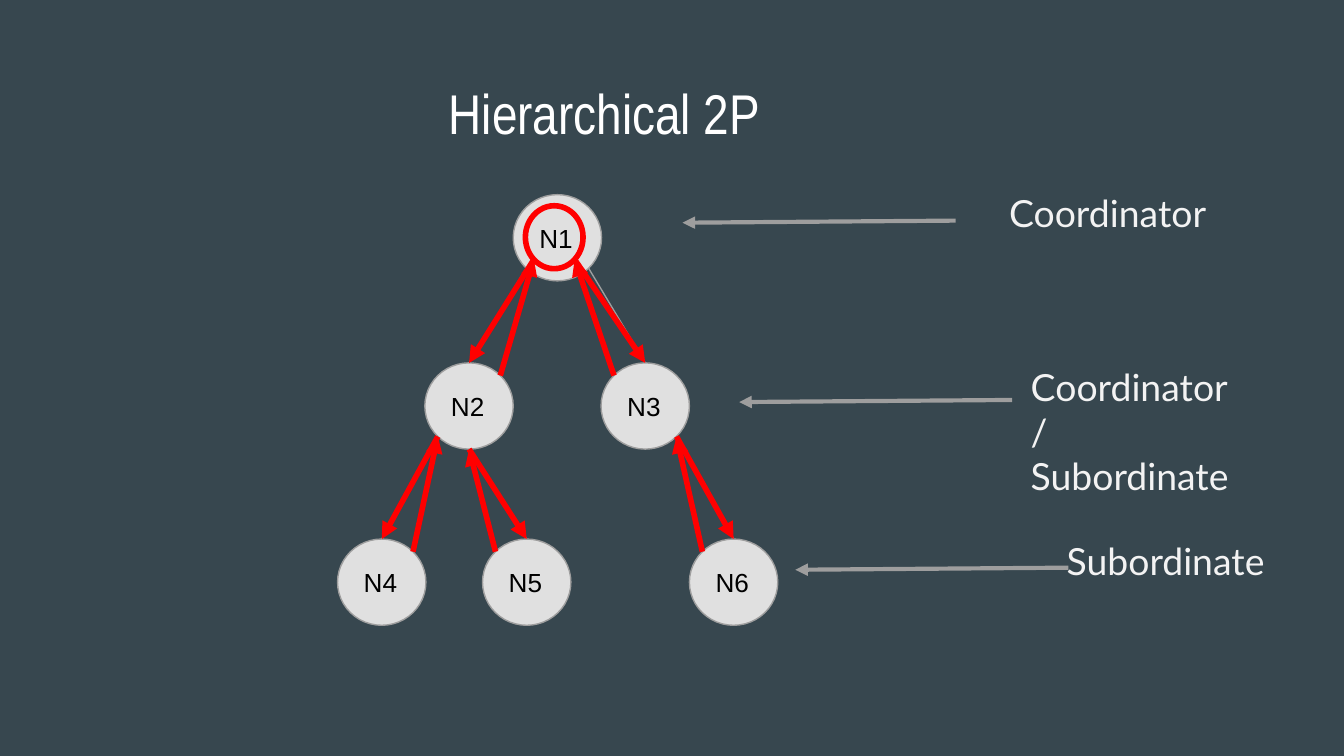
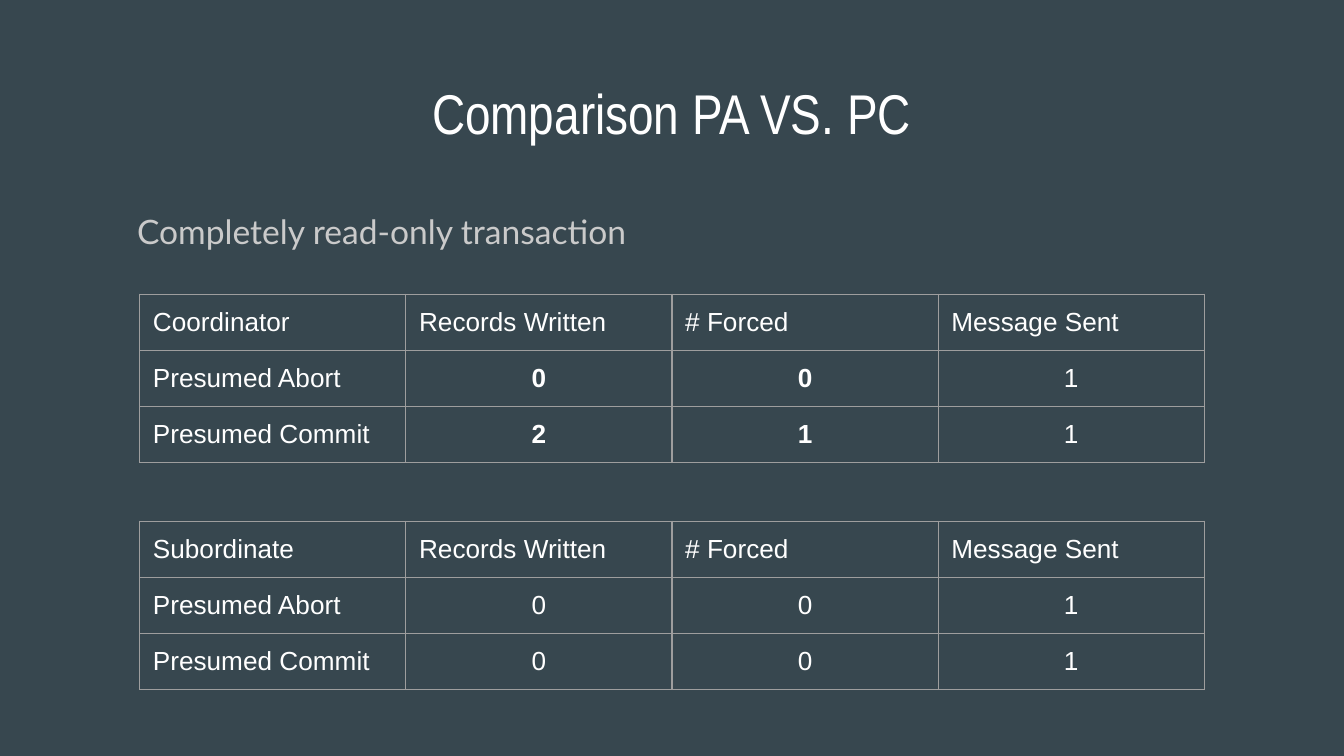
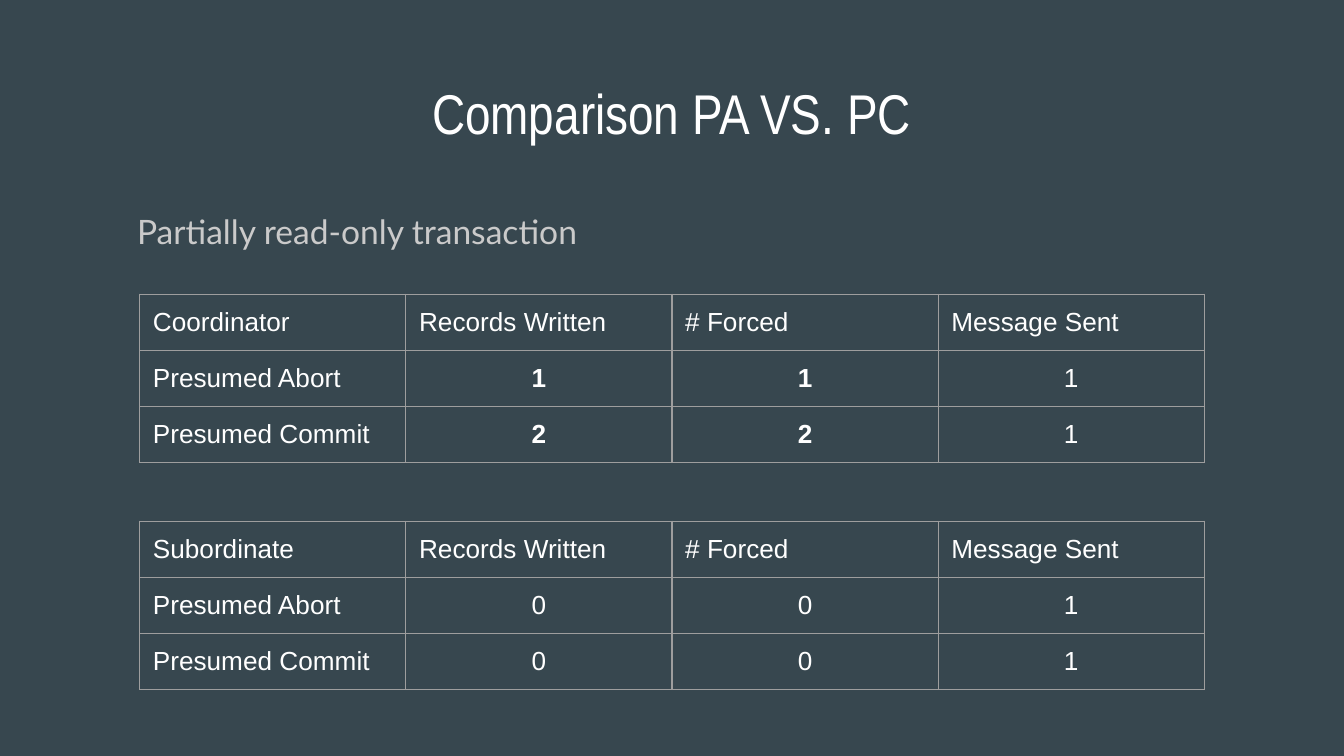
import math

import pptx
import pptx.dml.color
import pptx.enum.shapes
import pptx.enum.text
import pptx.oxml
import pptx.oxml.ns
import pptx.util
from pptx.util import Cm

# Content
TREE_TITLE = "Hierarchical 2P"
TREE_TITLE_LEFT = -0.41
NODES = {  # name: left, top
    "N1": (9.7, 3.68),
    "N2": (8.03, 6.86), "N3": (11.36, 6.86),
    "N4": (6.38, 10.19), "N5": (9.12, 10.19), "N6": (13.03, 10.19),
}
EDGES = [  # parent, site on parent, child, site the reply leaves from
    ("N1", "bottom left", "N2", "top right"),
    ("N2", "bottom left", "N4", "top right"),
    ("N2", "bottom", "N5", "top left"),
    ("N1", "bottom right", "N3", "top left"),
    ("N3", "bottom right", "N6", "top left"),
]
ROLES = [  # lines, label box, arrow start
    (["Coordinator"], (18.82, 3.35, 4.85, 1.35), (18.06, 4.17)),
    (["Coordinator/", "Subordinate"], (19.23, 6.63, 4.39, 1.8), (19.13, 7.56)),
    (["Subordinate"], (19.91, 9.93, 4.39, 1.8), (20.19, 10.73)),
]

COMPARISON_TITLE = "Comparison PA VS. PC"
COLUMNS = ["Records Written", "# Forced", "Message Sent"]
PROTOCOLS = ["Presumed Abort", "Presumed Commit"]
COMPARISONS = [  # subtitle, then role, values by protocol, bold columns
    ("Completely read-only transaction", [
        ("Coordinator", [(0, 0, 1), (2, 1, 1)], (1, 2)),
        ("Subordinate", [(0, 0, 1), (0, 0, 1)], ()),
    ]),
    ("Partially read-only transaction", [
        ("Coordinator", [(1, 1, 1), (2, 2, 1)], (1, 2)),
        ("Subordinate", [(0, 0, 1), (0, 0, 1)], ()),
    ]),
]

# Shared look
BACKGROUND, WHITE, BLACK = "37474F", "FFFFFF", "000000"
GREY, NODE_FILL, RED = "9E9E9E", "E0E0E0", "FF0000"
LABEL_COLOUR, SUBTITLE_COLOUR = "F3F3F3", "CACACA"
INSET = Cm(0.25)
NODE_SIZE = (1.67, 1.63)
RING = (9.93, 3.89, 1.09, 1.19)
ROLE_ARROW = (-5.16, 0.04)
TABLE_LEFT, TABLE_TOP, TABLE_STEP = 2.64, 5.56, 4.29
COLUMN_WIDTH, ROW_HEIGHT = 5.03, 1.06
DIAGONAL = math.sqrt(0.5)
SITES = {
    "top": (0, -1), "bottom": (0, 1),
    "top left": (-DIAGONAL, -DIAGONAL), "top right": (DIAGONAL, -DIAGONAL),
    "bottom left": (-DIAGONAL, DIAGONAL), "bottom right": (DIAGONAL, DIAGONAL),
}

SHAPES = pptx.enum.shapes.MSO_SHAPE
CENTER = pptx.enum.text.PP_ALIGN.CENTER
LEFT = pptx.enum.text.PP_ALIGN.LEFT
TOP = pptx.enum.text.MSO_ANCHOR.TOP
MIDDLE = pptx.enum.text.MSO_ANCHOR.MIDDLE


def rgb(colour):
    return pptx.dml.color.RGBColor.from_string(colour)


def style_para(para, size, font, colour, align=LEFT, bold=False):
    para.alignment = align
    for span in para.runs:
        span.font.size = pptx.util.Pt(size)
        span.font.name = font
        span.font.bold = bold
        span.font.color.rgb = rgb(colour)


def fill_frame(frame, lines, anchor, *style):
    frame.text = "\n".join(lines)
    frame.word_wrap = True
    frame.auto_size = pptx.enum.text.MSO_AUTO_SIZE.NONE
    frame.vertical_anchor = anchor
    frame.margin_left = frame.margin_right = INSET
    frame.margin_top = frame.margin_bottom = INSET
    for para in frame.paragraphs:
        style_para(para, *style)


def place(shape, left, top, width, height):
    shape.left, shape.top = Cm(left), Cm(top)
    shape.width, shape.height = Cm(width), Cm(height)


def add_page(deck, layout, title, title_left=0.86):
    page = deck.slides.add_slide(deck.slide_layouts[layout])
    place(page.shapes.title, title_left, 1.24, 23.67, 1.6)
    fill_frame(page.shapes.title.text_frame, [title], TOP, 30, "Arial Narrow", WHITE, CENTER)
    return page


def add_circle(page, kind, box, line_colour, line_width, fill=None):
    circle = page.shapes.add_shape(kind, *map(Cm, box))
    circle.shadow.inherit = False
    if fill:
        circle.fill.solid()
        circle.fill.fore_color.rgb = rgb(fill)
    else:
        circle.fill.background()
    circle.line.color.rgb = rgb(line_colour)
    circle.line.width = pptx.util.Pt(line_width)
    return circle


def site_of(circle, site):
    across, down = SITES[site]
    return (round(circle.left + circle.width * (1 + across) / 2),
            round(circle.top + circle.height * (1 + down) / 2))


def add_line(page, start, end, colour, width, arrow=True):
    line = page.shapes.add_connector(
        pptx.enum.shapes.MSO_CONNECTOR.STRAIGHT, *start, *end)
    line.line.color.rgb = rgb(colour)
    line.line.width = pptx.util.Pt(width)
    properties = line.element.spPr
    if arrow:
        outline = properties.find(pptx.oxml.ns.qn("a:ln"))
        pptx.oxml.ns.qn("a:tailEnd")
        outline.append(pptx.oxml.parse_xml(
            f'<a:tailEnd {pptx.oxml.ns.nsdecls("a")} type="triangle"/>'))
    properties.append(pptx.oxml.parse_xml(
        f'<a:effectLst {pptx.oxml.ns.nsdecls("a")}/>'))
    return line


def build_tree(deck):
    page = add_page(deck, 5, TREE_TITLE, TREE_TITLE_LEFT)

    # Nodes and the plain links between them
    circles = {}
    for name, corner in NODES.items():
        circles[name] = add_circle(page, SHAPES.FLOWCHART_CONNECTOR,
                                   corner + NODE_SIZE, GREY, 0.75, NODE_FILL)
        fill_frame(circles[name].text_frame, [name], MIDDLE, 14, "Arial", BLACK)
    for parent, site, child, _ in EDGES:
        link = add_line(page, site_of(circles[parent], site),
                        site_of(circles[child], "top"), GREY, 0.75, arrow=False)
        link.end_connect(circles[child], 0)

    # Roles on the right
    for lines, box, (x, y) in ROLES:
        end = (x + ROLE_ARROW[0], y + ROLE_ARROW[1])
        add_line(page, (Cm(x), Cm(y)), tuple(map(Cm, end)), GREY, 2.25)
        label = page.shapes.add_textbox(*map(Cm, box))
        fill_frame(label.text_frame, lines, TOP, 20, "Lato", LABEL_COLOUR)

    # Requests go down and replies come back, with the ring as the root
    ring = add_circle(page, SHAPES.OVAL, RING, RED, 3)
    senders = {**circles, "N1": ring}
    for parent, site, child, _ in EDGES:
        request = add_line(page, site_of(senders[parent], site),
                           site_of(circles[child], "top"), RED, 3)
        request.end_connect(circles[child], 0)
    for parent, site, child, reply_site in EDGES:
        add_line(page, site_of(circles[child], reply_site),
                 site_of(senders[parent], site), RED, 3)


def style_cell(cell, text, align, bold):
    cell.text = text
    cell.margin_left = cell.margin_right = INSET
    cell.margin_top = cell.margin_bottom = INSET
    style_para(cell.text_frame.paragraphs[0], 14, "Arial", WHITE, align, bold)
    cell.fill.background()
    properties = cell._tc.get_or_add_tcPr()
    for index, side in enumerate("LRTB"):
        properties.insert(index, pptx.oxml.parse_xml(
            f'<a:ln{side} {pptx.oxml.ns.nsdecls("a")} w="{pptx.util.Pt(0.75)}">'
            f'<a:solidFill><a:srgbClr val="{GREY}"/></a:solidFill></a:ln{side}>'))


def add_role_table(page, top, role, values, bold_columns):
    rows = [[role] + COLUMNS]
    rows += [[name, *map(str, row)] for name, row in zip(PROTOCOLS, values)]
    count = len(rows[0])
    table = page.shapes.add_table(
        len(rows), count, Cm(TABLE_LEFT), Cm(top),
        Cm(COLUMN_WIDTH * count), Cm(ROW_HEIGHT * len(rows))).table
    table.first_row = table.horz_banding = False
    for r, row in enumerate(rows):
        for c, text in enumerate(row):
            is_value = r > 0 and c > 0
            style_cell(table.cell(r, c), text, CENTER if is_value else LEFT,
                       is_value and c in bold_columns)


def build_comparison(deck, subtitle, tables):
    page = add_page(deck, 1, COMPARISON_TITLE)
    body = page.placeholders[1]
    place(body, 2.34, 3.63, 10.31, 1.32)
    fill_frame(body.text_frame, [subtitle], TOP, 18, "Lato", SUBTITLE_COLOUR)
    para = body.text_frame.paragraphs[0]
    para.line_spacing = 1.15
    para.space_before, para.space_after = pptx.util.Pt(0), pptx.util.Pt(16)
    properties = para._p.get_or_add_pPr()
    properties.set("marL", "0")
    properties.set("indent", "0")
    properties.append(pptx.oxml.parse_xml(
        f'<a:buNone {pptx.oxml.ns.nsdecls("a")}/>'))
    for index, table in enumerate(tables):
        add_role_table(page, TABLE_TOP + index * TABLE_STEP, *table)


def main():
    deck = pptx.Presentation()
    deck.slide_width, deck.slide_height = Cm(25.4), Cm(14.29)
    backdrop = deck.slide_master.background.fill
    backdrop.solid()
    backdrop.fore_color.rgb = rgb(BACKGROUND)
    build_tree(deck)
    for subtitle, tables in COMPARISONS:
        build_comparison(deck, subtitle, tables)
    deck.save("out.pptx")


if __name__ == "__main__":
    main()
